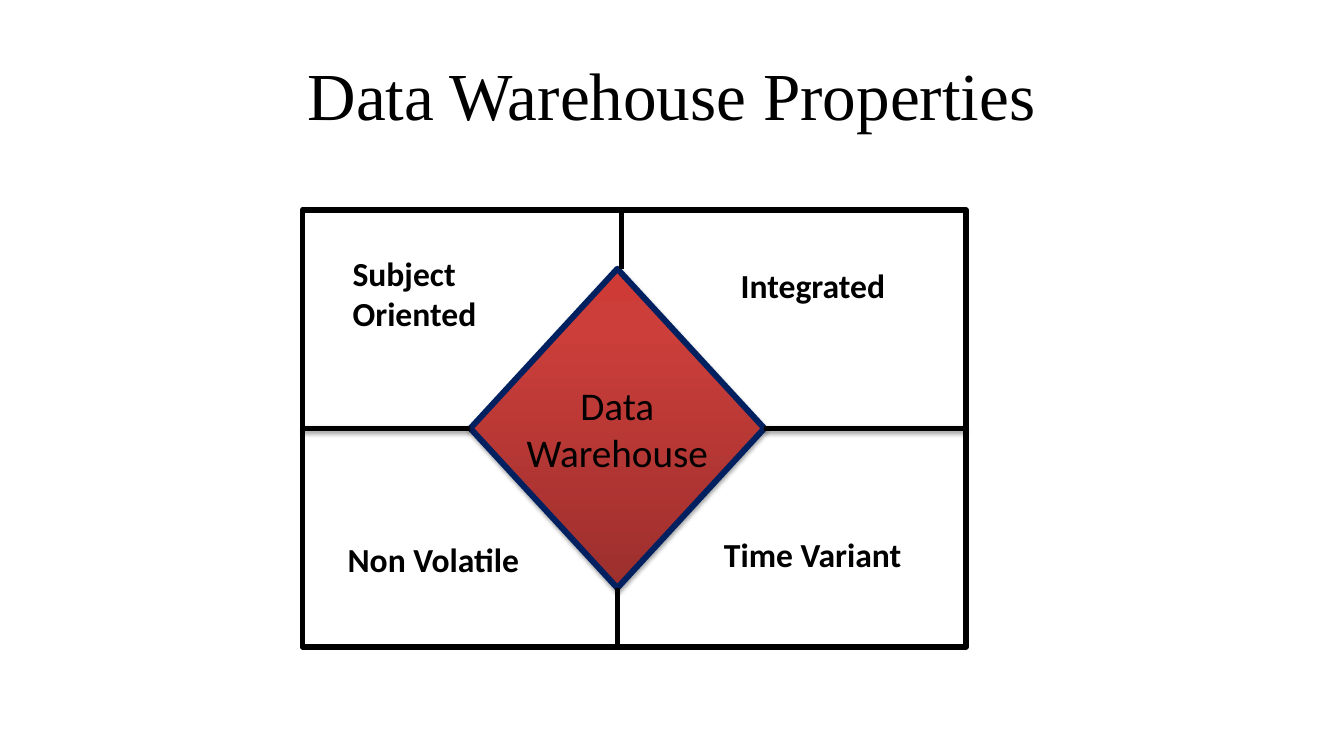
from copy import deepcopy

from lxml.etree import SubElement
from pptx import Presentation
from pptx.dml.color import RGBColor
from pptx.enum.shapes import MSO_CONNECTOR, MSO_SHAPE
from pptx.enum.text import MSO_ANCHOR, PP_ALIGN
from pptx.oxml import parse_xml
from pptx.oxml.ns import nsdecls, qn
from pptx.util import Pt

BLACK = RGBColor(0x00, 0x00, 0x00)
NAVY = RGBColor(0x00, 0x20, 0x60)
DARK_RED = RGBColor(0x9C, 0x2F, 0x2D)
RED = RGBColor(0xCB, 0x3E, 0x3A)
BRIGHT_RED = RGBColor(0xCE, 0x3B, 0x37)

COLUMNS, ROWS = 160, 90
CELL = 76200
SHADOW = parse_xml(
    f'<a:outerShdw {nsdecls("a")} blurRad="39370" dist="22860" dir="5400000" '
    'rotWithShape="0"><a:srgbClr val="000000"><a:alpha val="35000"/></a:srgbClr>'
    '</a:outerShdw>'
)


def grid(*cells):
    return [round(cell * CELL) for cell in cells]


def write(box, text, size, font="Calibri", bold=False, align=PP_ALIGN.LEFT,
          anchor=MSO_ANCHOR.TOP, wrap=True):
    frame = box.text_frame
    frame.word_wrap = wrap
    frame.vertical_anchor = anchor
    for index, line in enumerate(text.split("\n")):
        para = frame.add_paragraph() if index else frame.paragraphs[0]
        para.alignment = align
        span = para.add_run()
        span.text = line
        span.font.name = font
        span.font.size = Pt(size)
        span.font.bold = bold
        span.font.color.rgb = BLACK


deck = Presentation()
deck.slide_width, deck.slide_height = grid(COLUMNS, ROWS)
page = deck.slides.add_slide(deck.slide_layouts[6])

title = page.shapes.add_textbox(*grid(8, 3.6, 144, 15))
write(title, "Data Warehouse Properties", 48, font="Times New Roman",
      align=PP_ALIGN.CENTER, anchor=MSO_ANCHOR.MIDDLE)

frame_box = page.shapes.add_shape(MSO_SHAPE.RECTANGLE, *grid(36, 25, 79, 52))
frame_box.shadow.inherit = False
frame_box.fill.background()
frame_box.line.color.rgb = BLACK
frame_box.line.width = Pt(4)

diamond = page.shapes.add_shape(MSO_SHAPE.FLOWCHART_DECISION, *grid(56, 32, 35, 38))
diamond.shadow.inherit = False
diamond.fill.gradient()
diamond.fill.gradient_angle = 90
stop_list = diamond._element.spPr.find(".//" + qn("a:gsLst"))
stop_list.append(deepcopy(stop_list[-1]))
for stop, (position, color) in zip(
        diamond.fill.gradient_stops, [(0, DARK_RED), (0.8, RED), (1, BRIGHT_RED)]):
    stop.position = position
    stop.color.rgb = color
diamond.line.color.rgb = NAVY
diamond.line.width = Pt(4.25)
diamond._element.spPr.find(qn("a:effectLst")).append(deepcopy(SHADOW))
write(diamond, "Data\nWarehouse", 28, align=PP_ALIGN.CENTER,
      anchor=MSO_ANCHOR.MIDDLE, wrap=False)

dividers = [
    (91, 51, 115, 51),
    (73.5, 70, 73.5, 77),
    (74, 32, 74, 25),
    (56, 51, 36, 51),
]
for left, top, right, bottom in dividers:
    divider = page.shapes.add_connector(
        MSO_CONNECTOR.STRAIGHT, *grid(left, top, right, bottom))
    divider.line.color.rgb = BLACK
    divider.line.width = Pt(4)
    effects = SubElement(divider._element.spPr, qn("a:effectLst"))
    if top == bottom:
        effects.append(deepcopy(SHADOW))

properties = [
    ("Integrated", 87, 31, 21.5, 6),
    ("Time Variant", 85, 63, 27, 6),
    ("Non Volatile", 40.2, 63.6, 26.3, 6),
    ("Subject\nOriented", 40.8, 29.5, 19, 10.9),
]
for text, *cells in properties:
    box = page.shapes.add_textbox(*grid(*cells))
    write(box, text, 24, bold=True)

deck.save("out.pptx")
